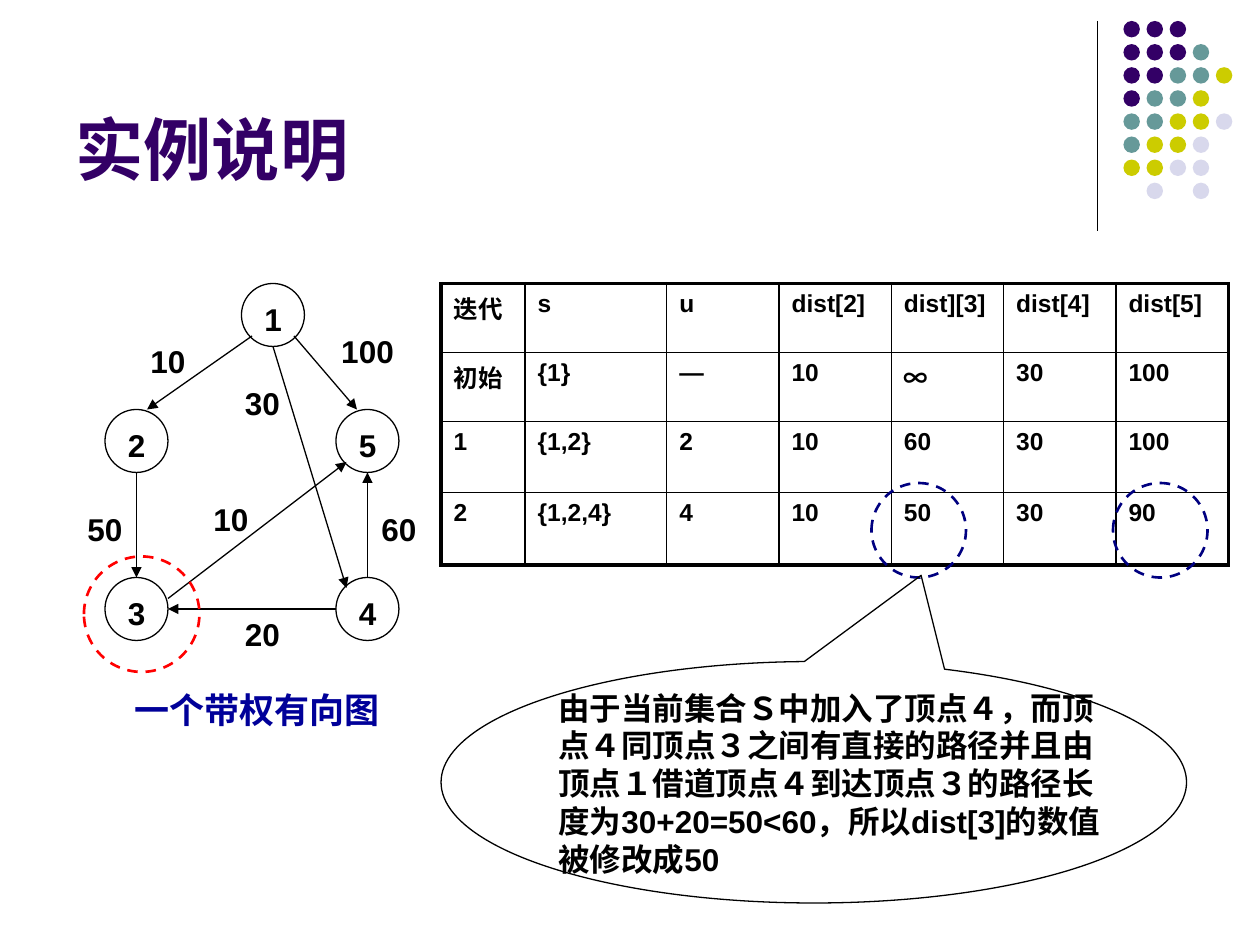
from lxml import etree
from pptx import Presentation
from pptx.dml.color import RGBColor
from pptx.enum import dml, shapes, text
from pptx.oxml import ns
from pptx.util import Pt

BLACK, INDIGO, NAVY, RED, BLUE = "000000", "330066", "000080", "FF0000", "000099"
DOT_COLORS = {"P": INDIGO, "T": "669999", "Y": "CCCC00", "L": "D8D8EC"}
DOT_ROWS = ["PPP", "PPPT", "PPTTY", "PTTY", "TTYYL", "TYYL", "YYLL", " L L"]

NODES = {"1": (96, 0), "2": (18, 72), "3": (18, 168), "5": (150, 72), "4": (150, 168)}
# start, end, weight, left and top of the weight, width of the weight
EDGES = [
    ((102, 30), (42, 72), "10", (36, 30), 36),
    ((114, 36), (156, 174), "30", (90, 54), 36),
    ((126, 30), (162, 72), "100", (144, 24), 48),
    ((168, 168), (168, 108), "60", (168, 126), 36),
    ((36, 108), (36, 168), "50", (0, 126), 36),
    ((54, 180), (156, 102), "10", (72, 120), 36),
    ((150, 186), (54, 186), "20", (90, 186), 36),
]
ROWS = [
    ["迭代", "s", "u", "dist[2]", "dist][3]", "dist[4]", "dist[5]"],
    ["初始", "{1}", "—", "10", "∞", "30", "100"],
    ["1", "{1,2}", "2", "10", "60", "30", "100"],
    ["2", "{1,2,4}", "4", "10", "50", "30", "90"],
]
COL_WIDTHS = [48, 81] + [64.2] * 5
ROW_HEIGHTS = [39.5, 39.5, 40.5, 41.5]
EXPLANATION = ("由于当前集合Ｓ中加入了顶点４，而顶点４同顶点３之间有直接的路径并且由"
               "顶点１借道顶点４到达顶点３的路径长度为30+20=50<60，所以dist[3]的数值被修改成50")


def rgb(color):
    return RGBColor.from_string(color)


def sub(parent, tag, **attrs):
    return etree.SubElement(parent, ns.qn(tag), **attrs)


def style(p, size, color=BLACK, name="Arial"):
    f = p.font
    f.size, f.bold, f.name = Pt(size), True, name
    f.color.rgb = rgb(color)


def add_text(s, x, y, w, h, words, size=18, color=BLACK, center=False,
             anchor=text.MSO_ANCHOR.TOP):
    tf = s.shapes.add_textbox(Pt(x), Pt(y), Pt(w), Pt(h)).text_frame
    tf.word_wrap = True
    tf.vertical_anchor = anchor
    p = tf.paragraphs[0]
    p.text = words
    p.alignment = text.PP_ALIGN.CENTER if center else text.PP_ALIGN.LEFT
    style(p, size, color)


def add_outline(s, x, y, w, h, color=BLACK, dashed=False,
                kind=shapes.MSO_SHAPE.OVAL):
    sp = s.shapes.add_shape(kind, Pt(x), Pt(y), Pt(w), Pt(h))
    sp.shadow.inherit = False
    sp.fill.background()
    sp.line.color.rgb = rgb(color)
    sp.line.width = Pt(1.5 if dashed else 0.75)
    if dashed:
        sp.line.dash_style = dml.MSO_LINE.DASH
    return sp


def add_line(s, x1, y1, x2, y2, arrow=False):
    c = s.shapes.add_connector(shapes.MSO_CONNECTOR.STRAIGHT,
                               Pt(x1), Pt(y1), Pt(x2), Pt(y2))
    c.line.color.rgb = rgb(BLACK)
    c.line.width = Pt(0.75)
    if arrow:
        sub(c.line._get_or_add_ln(), "a:tailEnd", type="triangle")
    sub(c._element.spPr, "a:effectLst")


def add_dots(s, x, y, pitch=13.2, size=9.4):
    for j, row in enumerate(DOT_ROWS):
        for i, key in enumerate(row):
            if key in DOT_COLORS:
                sp = s.shapes.add_shape(shapes.MSO_SHAPE.OVAL, Pt(x + i * pitch),
                                        Pt(y + j * pitch), Pt(size), Pt(size))
                sp.shadow.inherit = False
                sp.fill.solid()
                sp.fill.fore_color.rgb = rgb(DOT_COLORS[key])
                sp.line.fill.background()


def add_graph(s, x, y):
    for label, (nx, ny) in NODES.items():
        add_outline(s, x + nx, y + ny, 36, 36)
        add_text(s, x + nx + 6, y + ny + 6, 30, 29, label)
    for (x1, y1), (x2, y2), weight, (wx, wy), w in EDGES:
        add_line(s, x + x1, y + y1, x + x2, y + y2, arrow=True)
        add_text(s, x + wx, y + wy, w, 29, weight, center=True)
    add_text(s, x, y + 228, 210, 31, "一个带权有向图", 20, BLUE, center=True)


def set_borders(cell, outer):
    """Rule all four sides in black, thicker on the sides named in outer."""
    pr = cell._tc.get_or_add_tcPr()
    for i, side in enumerate("LRTB"):
        width = Pt(2.25 if side in outer else 1)
        ln = etree.Element(ns.qn("a:ln" + side), w=str(width))
        sub(sub(ln, "a:solidFill"), "a:srgbClr", val=BLACK)
        pr.insert(i, ln)


def add_dist_table(s, x, y):
    n, m = len(ROWS), len(COL_WIDTHS)
    table = s.shapes.add_table(n, m, Pt(x), Pt(y), Pt(sum(COL_WIDTHS)),
                               Pt(sum(ROW_HEIGHTS))).table
    for col, w in zip(table.columns, COL_WIDTHS):
        col.width = Pt(w)
    for row, h in zip(table.rows, ROW_HEIGHTS):
        row.height = Pt(h)
    for j, row in enumerate(ROWS):
        for i, words in enumerate(row):
            cell = table.cell(j, i)
            cell.fill.background()
            p = cell.text_frame.paragraphs[0]
            p.text = words
            style(p, 14, name="Noto Sans CJK SC" if words == "∞" else "Arial")
            set_borders(cell, "L" * (i == 0) + "R" * (i == m - 1)
                        + "T" * (j == 0) + "B" * (j == n - 1))


def add_callout(s, x, y, w, h):
    sp = add_outline(s, x, y, w, h, kind=shapes.MSO_SHAPE.OVAL_CALLOUT)
    sp.rotation = 180
    sp.adjustments[0], sp.adjustments[1] = -0.144, 0.857
    add_text(s, x + 60, y + 12, w - 96, 115, EXPLANATION)


def main():
    prs = Presentation()
    prs.slide_width, prs.slide_height = Pt(720), Pt(540)
    s = prs.slides.add_slide(prs.slide_layouts[6])
    add_line(s, 627, 12, 627, 132)
    add_dots(s, 642, 12)
    add_text(s, 36, 9.5, 594, 102, "实例说明", 39, INDIGO,
             anchor=text.MSO_ANCHOR.BOTTOM)
    add_graph(s, 42, 162)
    add_dist_table(s, 252, 162)
    add_outline(s, 48, 318, 66, 66, RED, dashed=True)
    add_outline(s, 498, 276, 54, 54, NAVY, dashed=True)
    add_callout(s, 252, 378, 426, 138)
    add_outline(s, 636, 276, 54, 54, NAVY, dashed=True)
    prs.save("out.pptx")


if __name__ == "__main__":
    main()
